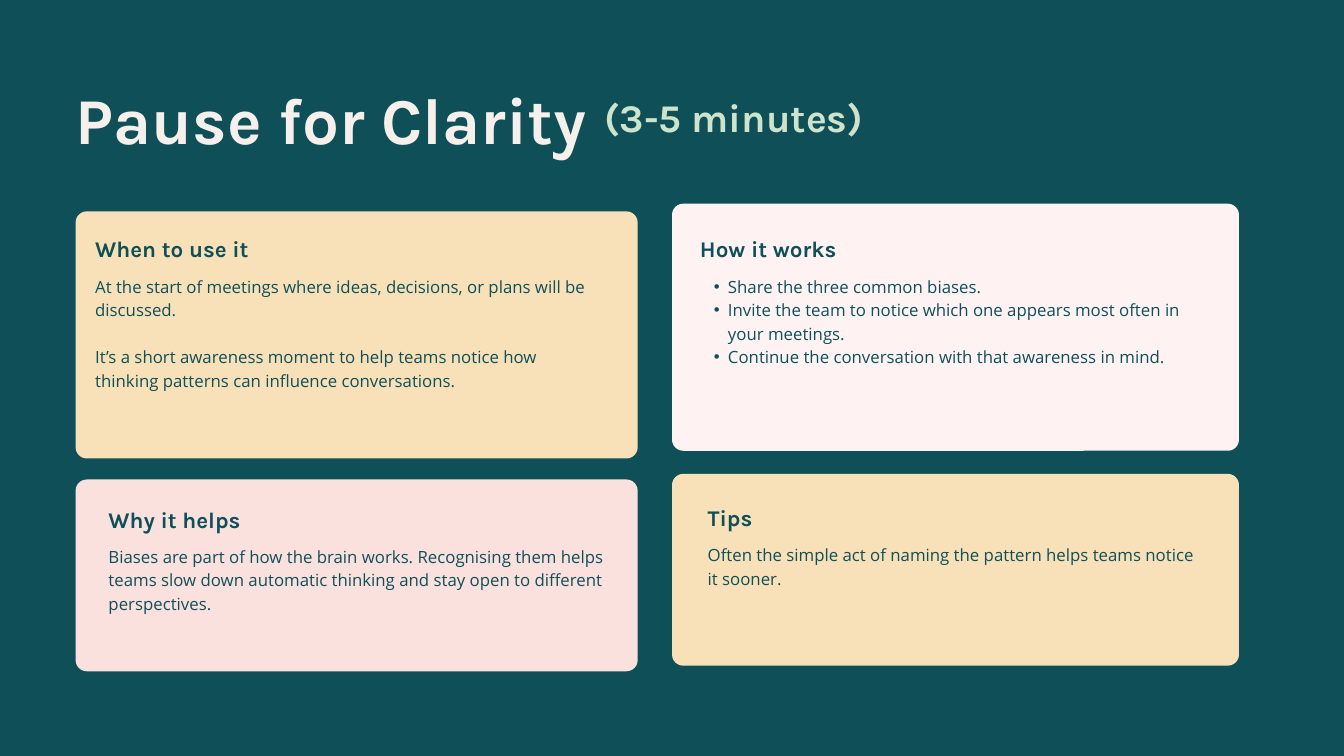
from lxml import etree
from pptx import Presentation
from pptx.dml.color import RGBColor
from pptx.enum.shapes import MSO_SHAPE
from pptx.enum.text import MSO_ANCHOR, MSO_AUTO_SIZE, PP_ALIGN
from pptx.oxml.ns import qn
from pptx.util import Emu, Pt

ROUNDED = MSO_SHAPE.ROUNDED_RECTANGLE
TOP = MSO_ANCHOR.TOP
NO_AUTOFIT = MSO_AUTO_SIZE.NONE
LEFT = PP_ALIGN.LEFT

TEAL = RGBColor(0x0F, 0x4F, 0x58)
CREAM = RGBColor(0xF5, 0xF0, 0xEB)
MINT = RGBColor(0xCD, 0xE3, 0xCC)
SAND = RGBColor(0xF8, 0xE1, 0xB8)
ROSE = RGBColor(0xFB, 0xE1, 0xDE)
BLUSH = RGBColor(0xFE, 0xF3, 0xF2)

EMU_PER_PX = 9525
WIDTH, HEIGHT = 1920, 1080
HEADING_FONT, BODY_FONT = "Karla", "Open Sans"
HEADING_SIZE, BODY_SIZE = 24, 18
LEADING = 1.4
CORNER = 16
BODY_DROP = 60
BULLET_INDENT, BULLET_HANG = 40, 20


def px(length):
    return Emu(length * EMU_PER_PX)


class Deck:
    def __init__(self):
        self.presentation = Presentation()
        self.presentation.slide_width = px(WIDTH)
        self.presentation.slide_height = px(HEIGHT)
        self.slide = None

    def add_slide(self, background):
        layout = self.presentation.slide_layouts[5]
        self.slide = self.presentation.slides.add_slide(layout)
        self.slide.background.fill.solid()
        self.slide.background.fill.fore_color.rgb = background

    def fill_frame(self, frame, lines, font, size, color, bold=False, bullets=False):
        frame.margin_left = frame.margin_right = 0
        frame.margin_top = frame.margin_bottom = 0
        frame.word_wrap = True
        frame.auto_size = NO_AUTOFIT
        frame.vertical_anchor = TOP
        leading = Pt(round(size * LEADING, 1))
        for index, line in enumerate(lines):
            paragraph = frame.paragraphs[0] if index == 0 else frame.add_paragraph()
            paragraph.text = line
            if bullets:
                self.bullet(paragraph)
            paragraph.alignment = LEFT
            paragraph.line_spacing = leading
            if index and not bullets:
                paragraph.space_before = leading
            paragraph.font.name = font
            paragraph.font.size = Pt(size)
            paragraph.font.bold = bold
            paragraph.font.color.rgb = color

    def bullet(self, paragraph):
        properties = paragraph._p.get_or_add_pPr()
        properties.set("marL", str(px(BULLET_INDENT)))
        properties.set("indent", str(px(-BULLET_HANG)))
        etree.SubElement(properties, qn("a:buFont"), typeface="Arial")
        etree.SubElement(properties, qn("a:buChar"), char="•")

    def title(self, left, top, width, height, text, size, color):
        heading = self.slide.shapes.title
        heading.left, heading.top = px(left), px(top)
        heading.width, heading.height = px(width), px(height)
        self.fill_frame(heading.text_frame, [text], HEADING_FONT, size, color, bold=True)

    def text(self, left, top, width, height, lines, font, size, color, **style):
        box = self.slide.shapes.add_textbox(px(left), px(top), px(width), px(height))
        self.fill_frame(box.text_frame, lines, font, size, color, **style)

    def panel(self, left, top, width, height, fill):
        panel = self.slide.shapes.add_shape(
            ROUNDED, px(left), px(top), px(width), px(height))
        panel.adjustments[0] = CORNER / min(width, height)
        panel.fill.solid()
        panel.fill.fore_color.rgb = fill
        panel.line.fill.background()
        panel.shadow.inherit = False

    def card(self, bounds, fill, text_left, text_top, text_width, text_height,
             heading, lines, bullets=False):
        self.panel(*bounds, fill)
        self.text(text_left, text_top, 246, 42, [heading],
                  HEADING_FONT, HEADING_SIZE, TEAL, bold=True)
        self.text(text_left, text_top + BODY_DROP, text_width, text_height, lines,
                  BODY_FONT, BODY_SIZE, TEAL, bullets=bullets)


def main():
    deck = Deck()
    deck.add_slide(TEAL)
    deck.title(108, 94, 1258, 126, "Pause for Clarity", 70, CREAM)
    deck.text(863, 122, 461, 75, ["(3-5 minutes)"], HEADING_FONT, 42, MINT, bold=True)

    deck.card((108, 302, 803, 353), SAND, 136, 330, 708, 196, "When to use it", [
        "At the start of meetings where ideas, decisions, or plans will be discussed.",
        "It’s a short awareness moment to help teams notice how thinking patterns "
        "can influence conversations.",
    ])
    deck.card((960, 291, 810, 353), BLUSH, 1000, 330, 697, 163, "How it works", [
        "Share the three common biases.",
        "Invite the team to notice which one appears most often in your meetings.",
        "Continue the conversation with that awareness in mind.",
    ], bullets=True)
    deck.card((108, 685, 803, 274), ROSE, 155, 716, 708, 131, "Why it helps", [
        "Biases are part of how the brain works. Recognising them helps teams slow "
        "down automatic thinking and stay open to different perspectives.",
    ])
    deck.card((960, 677, 810, 274), SAND, 1011, 714, 708, 64, "Tips", [
        "Often the simple act of naming the pattern helps teams notice it sooner.",
    ])

    deck.presentation.save("out.pptx")


if __name__ == "__main__":
    main()
